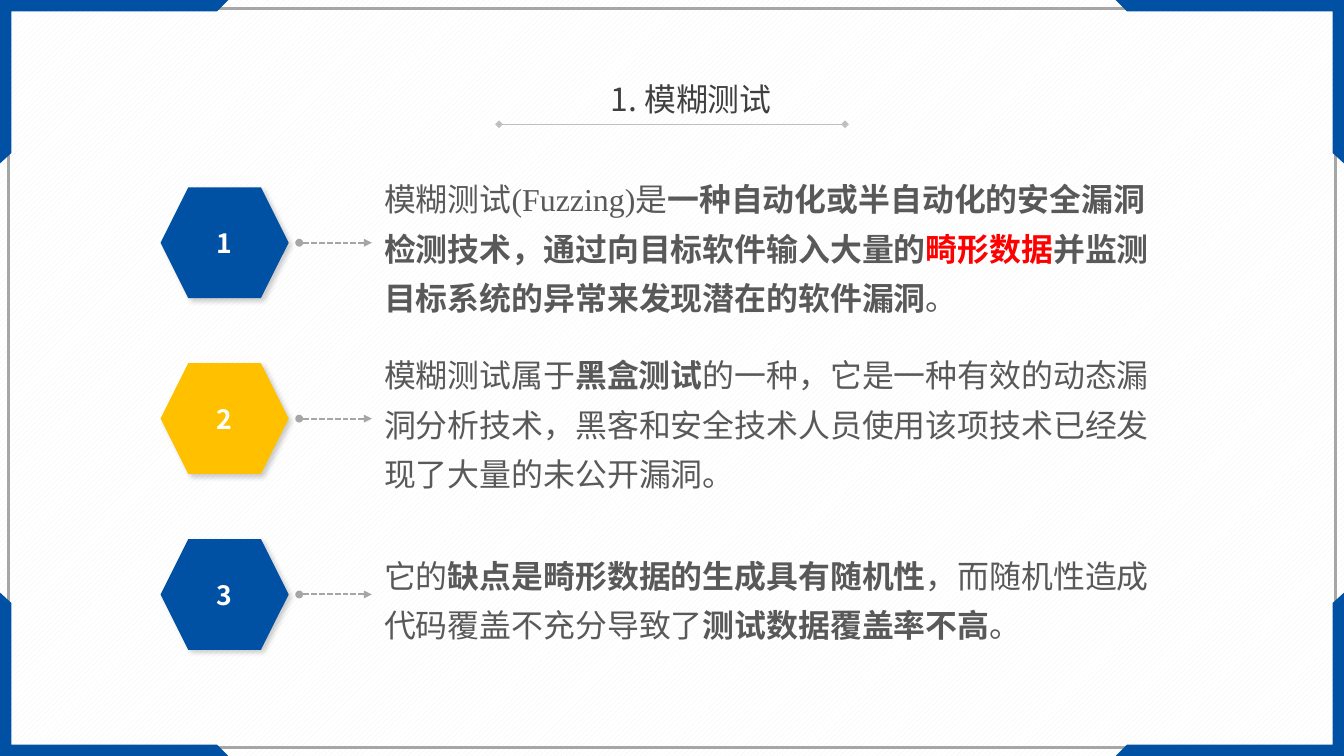
from lxml import etree
from pptx import Presentation
from pptx import util as u
from pptx.dml import color
from pptx.enum import dml, shapes, text
from pptx.oxml import ns, parse_xml

SLIDE_WIDTH, SLIDE_HEIGHT = 14.06, 7.91
SANS, SERIF = "Noto Sans CJK SC", "Times New Roman"
BLUE, YELLOW, RED, GREY, WHITE = "0050A3", "FFC000", "FF0000", "595959", "FFFFFF"

ROW_TOP, ROW_PITCH = 1.96, 1.84
ROWS = [
    ("1", BLUE, SERIF, 1.62, [
        ("模糊测试(Fuzzing)是", False, GREY),
        ("一种自动化或半自动化的安全漏洞检测技术，通过向目标软件输入大量的", True, GREY),
        ("畸形数据", True, RED),
        ("并监测目标系统的异常来发现潜在的软件漏洞", True, GREY),
        ("。", False, GREY)]),
    ("2", YELLOW, SANS, 1.62, [
        ("模糊测试属于", False, GREY),
        ("黑盒测试", True, GREY),
        ("的一种，它是一种有效的动态漏洞分析技术，黑客和安全技术人员使用该项技术已经发现了大量的未公开漏洞。",
         False, GREY)]),
    ("3", BLUE, SERIF, 1.15, [
        ("它的", False, GREY),
        ("缺点是畸形数据的生成具有随机性", True, GREY),
        ("，而随机性造成代码覆盖不充分导致了", False, GREY),
        ("测试数据覆盖率不高", True, GREY),
        ("。", False, GREY)]),
]


def rgb(value):
    return color.RGBColor.from_string(value)


def inches(*values):
    return [u.Inches(value) for value in values]


def add_run(paragraph, words, size, bold, hue, latin=SANS):
    run = paragraph.add_run()
    run.text = words
    run.font.size = u.Pt(size)
    run.font.bold = bold
    run.font.name = latin
    run.font.color.rgb = rgb(hue)
    east_asian = etree.SubElement(run.font._element, ns.qn("a:ea"))
    east_asian.set("typeface", SANS)


def add_line(slide, left, y, right, hue, width, head, tail, dash=None):
    line = slide.shapes.add_connector(
        shapes.MSO_CONNECTOR.STRAIGHT, *inches(left, y, right, y))
    line.line.color.rgb = rgb(hue)
    line.line.width = u.Pt(width)
    if dash:
        line.line.dash_style = dash
    outline = line.line._get_or_add_ln()
    for tag, kind in (("a:headEnd", head), ("a:tailEnd", tail)):
        etree.SubElement(outline, ns.qn(tag)).set("type", kind)
    etree.SubElement(line._element.spPr, ns.qn("a:effectLst"))


def add_soft_shadow(shape):
    shape._element.spPr.append(parse_xml(
        f'<a:effectLst {ns.nsdecls("a")}>'
        '<a:outerShdw blurRad="50800" dist="38100" dir="2700000" algn="tl" rotWithShape="0">'
        '<a:srgbClr val="000000"><a:alpha val="20000"/></a:srgbClr>'
        '</a:outerShdw></a:effectLst>'))


def add_corner(slide, x, y, x_sign, y_sign):
    outline = [(0, 0), (2.39, 0), (2.27, 0.12), (0.12, 0.12), (0.12, 1.6), (0, 1.71)]
    points = [inches(x + x_sign * across, y + y_sign * down) for across, down in outline]
    builder = slide.shapes.build_freeform(*points[0], scale=1.0)
    builder.add_line_segments(points[1:], close=True)
    corner = builder.convert_to_shape()
    corner.shadow.inherit = False
    corner.fill.solid()
    corner.fill.fore_color.rgb = rgb(BLUE)
    corner.line.fill.background()


def add_frame(slide, width, height):
    fill = slide.background.fill
    fill.patterned()
    fill.pattern = dml.MSO_PATTERN.WIDE_UPWARD_DIAGONAL
    fill.fore_color.rgb = rgb("F2F2F2")
    fill.back_color.rgb = rgb(WHITE)
    border = slide.shapes.add_shape(
        shapes.MSO_SHAPE.RECTANGLE, *inches(0.09, 0.09, width - 0.18, height - 0.18))
    border.shadow.inherit = False
    border.fill.background()
    border.line.color.rgb = rgb("A6A6A6")
    border.line.width = u.Pt(2)
    for x, x_sign in ((0, 1), (width, -1)):
        for y, y_sign in ((0, 1), (height, -1)):
            add_corner(slide, x, y, x_sign, y_sign)


def add_title(slide, left, top, width, height):
    title = slide.shapes.title
    title.left, title.top, title.width, title.height = inches(left, top, width, height)
    frame = title.text_frame
    frame.auto_size = text.MSO_AUTO_SIZE.NONE
    frame.vertical_anchor = text.MSO_ANCHOR.TOP
    paragraph = frame.paragraphs[0]
    paragraph.alignment = text.PP_ALIGN.CENTER
    add_run(paragraph, "1. 模糊测试", 24, False, "404040")
    add_line(slide, left + 2.44, top + 0.52, left + 6.06, "BFBFBF", 0.5, "diamond", "diamond")


def add_row(slide, left, top, row):
    number, hue, latin, text_height, runs = row
    hexagon_width, hexagon_height = 1.34, 1.16
    middle = top + hexagon_height / 2

    hexagon = slide.shapes.add_shape(
        shapes.MSO_SHAPE.HEXAGON, *inches(left, top, hexagon_width, hexagon_height))
    hexagon.fill.solid()
    hexagon.fill.fore_color.rgb = rgb(hue)
    hexagon.line.fill.background()
    add_soft_shadow(hexagon)
    hexagon.text_frame.vertical_anchor = text.MSO_ANCHOR.MIDDLE
    label = hexagon.text_frame.paragraphs[0]
    label.alignment = text.PP_ALIGN.CENTER
    add_run(label, number, 20, True, WHITE)

    add_line(slide, left + 1.45, middle, left + 2.21, "A6A6A6", 1.5,
             "oval", "triangle", dml.MSO_LINE.SQUARE_DOT)

    box = slide.shapes.add_textbox(
        *inches(left + 2.24, middle - text_height / 2, 8.3, text_height))
    box.text_frame.word_wrap = True
    box.text_frame.vertical_anchor = text.MSO_ANCHOR.MIDDLE
    paragraph = box.text_frame.paragraphs[0]
    paragraph.line_spacing = 1.3
    for words, bold, run_hue in runs:
        add_run(paragraph, words, 24, bold, run_hue, latin)


def main():
    presentation = Presentation()
    presentation.slide_width, presentation.slide_height = inches(SLIDE_WIDTH, SLIDE_HEIGHT)
    slide = presentation.slides.add_slide(presentation.slide_layouts[5])
    add_frame(slide, SLIDE_WIDTH, SLIDE_HEIGHT)
    for index, row in enumerate(ROWS):
        add_row(slide, 1.68, ROW_TOP + index * ROW_PITCH, row)
    add_title(slide, 2.78, 0.78, 8.9, 0.5)
    presentation.save("out.pptx")


if __name__ == "__main__":
    main()
